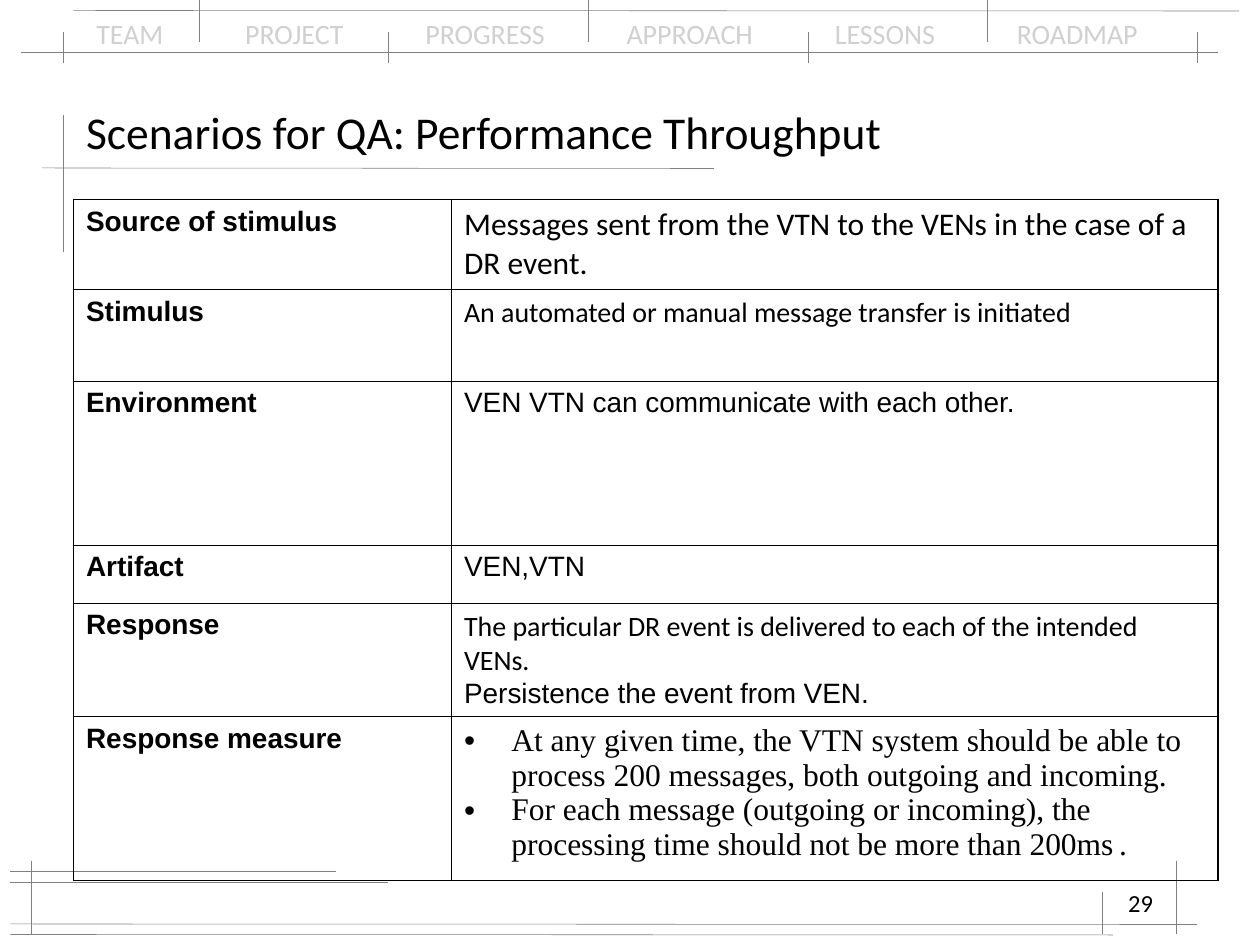
from dataclasses import dataclass

import lxml.etree
import pptx
import pptx.dml.color
import pptx.enum.shapes
import pptx.enum.text
import pptx.oxml.ns
import pptx.util

Pt = pptx.util.Pt
qn = pptx.oxml.ns.qn
BLACK = "000000"
NAV_GREY = "D0D0D0"
RULE_GREY = "808080"


@dataclass(frozen=True)
class Span:
    text: str
    size: float = 16
    font: str = "Arial"
    bold: bool = False
    color: str = BLACK


@dataclass(frozen=True)
class Rule:
    x1: float
    y1: float
    x2: float
    y2: float


@dataclass(frozen=True)
class Scenario:
    label: str
    height: float
    paras: list[list[Span]]
    bulleted: bool = False


NAV_LABELS = ["TEAM", "PROJECT", "PROGRESS", "APPROACH", "LESSONS", "ROADMAP"]
NAV_TABS = [85, 188, 303, 422, 526]

RULES = [
    Rule(12, 30, 696, 30),
    Rule(42, 6, 708, 6.3),
    Rule(36, 66, 36, 144),
    Rule(24, 96, 408, 96.3),
    Rule(6, 504, 222, 504),
    Rule(6, 528, 684, 528.3),
    Rule(18, 492, 18, 534),
    Rule(6, 498, 192, 498),
    Rule(6, 534, 636, 534.3),
    Rule(672, 492, 672, 534),
    Rule(630, 510, 630, 534),
    *[Rule(x, 18, x, 36) for x in (36, 222, 462, 684)],
    *[Rule(x, 0, x, 24) for x in (114, 336, 564)],
]

SCENARIOS = [
    Scenario("Source of stimulus", 51.5, [[Span(
        "Messages sent from the VTN to the VENs in the case of a DR event.", 18, "Calibri")]]),
    Scenario("Stimulus", 52.5, [[Span(
        "An automated or manual message transfer is initiated", font="Calibri")]]),
    Scenario("Environment", 93.7, [[Span("VEN VTN can communicate with each other.")]]),
    Scenario("Artifact", 33.1, [[Span("VEN,VTN")]]),
    Scenario("Response", 64, [
        [Span("The particular DR event is delivered to each of the intended VENs.", font="Calibri")],
        [Span("Persistence the event from VEN.")],
    ]),
    Scenario("Response measure", 93.7, [
        [Span("At any given time, the VTN system should be able to process 200 messages, "
              "both outgoing and incoming.", 18, "Times New Roman")],
        [Span("For each message (outgoing or incoming), the processing time should not be "
              "more than 200ms", 18, "Times New Roman"),
         Span(" ", 11, "Times New Roman"),
         Span(".", 18, "Times New Roman")],
    ], bulleted=True),
]


def rgb(color: str) -> pptx.dml.color.RGBColor:
    return pptx.dml.color.RGBColor.from_string(color)


def add_spans(para, spans: list[Span]) -> None:
    for span in spans:
        run = para.add_run()
        run.text = span.text
        run.font.size = Pt(span.size)
        run.font.name = span.font
        run.font.bold = span.bold
        run.font.color.rgb = rgb(span.color)


def add_bullet(para) -> None:
    properties = para._p.get_or_add_pPr()
    properties.set("marL", str(Pt(27)))
    properties.set("indent", str(-Pt(27)))
    lxml.etree.SubElement(properties, qn("a:buFont")).set("typeface", "Arial")
    lxml.etree.SubElement(properties, qn("a:buChar")).set("char", "•")


def add_tabs(para, positions: list[float]) -> None:
    tabs = lxml.etree.SubElement(para._p.get_or_add_pPr(), qn("a:tabLst"))
    for position in positions:
        tab = lxml.etree.SubElement(tabs, qn("a:tab"))
        tab.set("pos", str(Pt(position)))
        tab.set("algn", "l")


def add_box(page, left: float, top: float, width: float, height: float):
    box = page.shapes.add_textbox(Pt(left), Pt(top), Pt(width), Pt(height))
    box.text_frame.word_wrap = True
    return box


def draw_rule(page, rule: Rule) -> None:
    line = page.shapes.add_connector(
        pptx.enum.shapes.MSO_CONNECTOR.STRAIGHT,
        Pt(rule.x1), Pt(rule.y1), Pt(rule.x2), Pt(rule.y2))
    line.line.color.rgb = rgb(RULE_GREY)
    line.line.width = Pt(0.3)
    lxml.etree.SubElement(line._element.spPr, qn("a:effectLst"))


def draw_navigation(page) -> None:
    para = add_box(page, 48, 6, 624, 27).text_frame.paragraphs[0]
    add_tabs(para, NAV_TABS)
    add_spans(para, [Span("\t".join(NAV_LABELS), font="Calibri", color=NAV_GREY)])


def draw_title(page, text: str) -> None:
    title = page.shapes.title
    title.left, title.top, title.width, title.height = Pt(42), Pt(54), Pt(636), Pt(42)
    title.text_frame.vertical_anchor = pptx.enum.text.MSO_ANCHOR.MIDDLE
    para = title.text_frame.paragraphs[0]
    para.alignment = pptx.enum.text.PP_ALIGN.LEFT
    add_spans(para, [Span(text, 26, "Calibri")])


def draw_page_number(page, number: int) -> None:
    para = add_box(page, 516, 504, 150, 36).text_frame.paragraphs[0]
    para.alignment = pptx.enum.text.PP_ALIGN.RIGHT
    add_spans(para, [Span(str(number), 14, "Calibri")])


def add_borders(cell) -> None:
    properties = cell._tc.get_or_add_tcPr()
    for index, side in enumerate(("lnL", "lnR", "lnT", "lnB")):
        border = lxml.etree.Element(qn(f"a:{side}"))
        border.set("w", str(Pt(1)))
        fill = lxml.etree.SubElement(border, qn("a:solidFill"))
        lxml.etree.SubElement(fill, qn("a:srgbClr")).set("val", BLACK)
        properties.insert(index, border)


def fill_cell(cell, paras: list[list[Span]], bulleted: bool = False) -> None:
    cell.fill.background()
    add_borders(cell)
    for index, spans in enumerate(paras):
        frame = cell.text_frame
        para = frame.add_paragraph() if index else frame.paragraphs[0]
        if bulleted:
            add_bullet(para)
        add_spans(para, spans)


def draw_scenarios(page, scenarios: list[Scenario]) -> None:
    height = sum(scenario.height for scenario in scenarios)
    table = page.shapes.add_table(
        len(scenarios), 2, Pt(42), Pt(114), Pt(654), Pt(height)).table
    table.first_row = False
    table.horz_banding = False
    table.columns[0].width, table.columns[1].width = Pt(216), Pt(438)
    for index, scenario in enumerate(scenarios):
        table.rows[index].height = Pt(scenario.height)
        fill_cell(table.cell(index, 0), [[Span(scenario.label, bold=True)]])
        fill_cell(table.cell(index, 1), scenario.paras, scenario.bulleted)


def main() -> None:
    deck = pptx.Presentation()
    deck.slide_width, deck.slide_height = Pt(720), Pt(540)
    page = deck.slides.add_slide(deck.slide_layouts[5])
    draw_navigation(page)
    for rule in RULES:
        draw_rule(page, rule)
    draw_title(page, "Scenarios for QA: Performance Throughput")
    draw_page_number(page, 29)
    draw_scenarios(page, SCENARIOS)
    deck.save("out.pptx")


if __name__ == "__main__":
    main()
